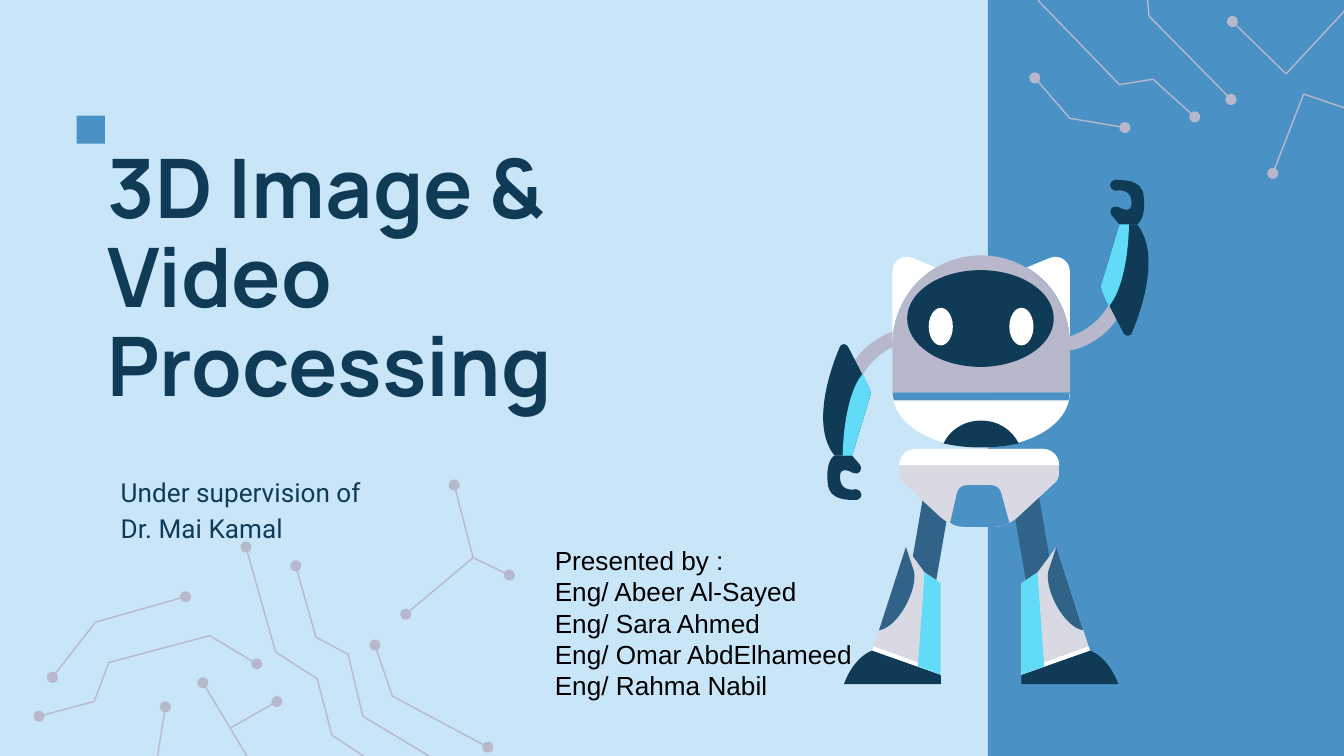
from dataclasses import dataclass

from lxml import etree
from pptx import Presentation
from pptx import util as u
from pptx.dml.color import RGBColor
from pptx.enum import shapes, text
from pptx.oxml.ns import qn

SKY = RGBColor(0xC9, 0xE6, 0xF8)
BLUE = RGBColor(0x4A, 0x91, 0xC6)
NAVY = RGBColor(0x10, 0x3B, 0x57)
STEEL = RGBColor(0x31, 0x63, 0x88)
CYAN = RGBColor(0x61, 0xDB, 0xF8)
GREY = RGBColor(0xB8, 0xB8, 0xCC)
PALE = RGBColor(0xD9, 0xD9, 0xE4)
WHITE = RGBColor(0xFF, 0xFF, 0xFF)
BLACK = RGBColor(0, 0, 0)

# Outlines: (x, y) is a straight step, six numbers are a Bezier curve.
ARM = [
    (GREY, [(21, 201), (20, 179, 23, 149, 44, 129), (57, 117, 71, 115, 72, 115),
            (73, 125), (71, 126, 28, 134, 32, 201)]),
    (NAVY, [(47, 159), (31, 128), (29, 125, 26, 126, 25, 128),
            (18, 144, 3, 187, 21, 209), (34, 209), (48, 163)]),
    (NAVY, [(40, 216), (34, 209), (21, 209), (21, 209, 14, 212, 16, 230),
            (17, 243, 32, 242, 38, 242), (40, 241, 41, 240, 41, 238),
            (41, 236, 39, 234, 37, 234), (32, 235, 25, 234, 25, 225),
            (25, 217, 31, 220, 35, 222), (37, 223, 39, 222, 40, 221),
            (41, 219, 41, 217, 40, 216)]),
    (CYAN, [(48, 163), (47, 159), (42, 148), (27, 166, 27, 209, 27, 209), (34, 209)]),
]
EAR = [(WHITE, [(96, 69), (91, 72, 87, 75, 83, 79), (71, 91, 64, 108, 64, 126),
                (64, 72), (64, 64, 72, 59, 79, 62)])]
HEAD = [
    (GREY, [(196, 162), (196, 126), (196, 90, 167, 60, 130, 60),
            (93, 60, 64, 90, 64, 126), (64, 162)]),
    (WHITE, [(196, 162), (196, 185, 167, 203, 130, 203), (93, 203, 64, 185, 64, 162)]),
    (BLUE, [(195, 168), (196, 162), (64, 162), (65, 168)]),
    (NAVY, [(102, 200), (111, 202, 120, 203, 130, 203), (140, 203, 149, 202, 158, 200),
            (153, 190, 143, 183, 130, 183), (117, 183, 107, 190, 102, 200)]),
]
LEG = [
    (STEEL, [(94, 317), (74, 314), (87, 239), (107, 242)]),
    (NAVY, [(100, 372), (49, 354), (34, 360, 28, 379, 28, 379), (100, 379)]),
    (PALE, [(49, 354), (74, 277), (88, 296), (100, 304), (100, 372)]),
    (WHITE, [(49, 354), (100, 372), (100, 369), (50, 351)]),
    (STEEL, [(80, 295), (74, 277), (54, 339), (68, 337, 83, 309, 80, 295)]),
    (CYAN, [(100, 372), (100, 304), (88, 296), (83, 366)]),
]
PELVIS = [
    (PALE, [(188, 216), (188, 221), (188, 225, 187, 228, 184, 230), (157, 255),
            (155, 257, 153, 258, 151, 259), (147, 261, 144, 262, 140, 262), (117, 262),
            (113, 262, 110, 261, 107, 259), (104, 258, 102, 257, 100, 255),
            (73, 230), (71, 228, 69, 225, 69, 221), (69, 216),
            (69, 209, 75, 204, 81, 204), (176, 204), (182, 204, 188, 209, 188, 216)]),
    (WHITE, [(188, 216), (188, 209, 182, 204, 176, 204), (81, 204),
             (75, 204, 69, 209, 69, 216)]),
    (BLUE, [(151, 259), (147, 261, 144, 262, 140, 262), (117, 262),
            (113, 262, 110, 261, 107, 259), (112, 237), (113, 233, 116, 231, 120, 231),
            (137, 231), (141, 231, 144, 233, 145, 237)]),
]

LOWER_TRACES = [
    [(338, 11), (352, 65), (379, 78)],
    [(279, 130), (292, 168), (363, 206)],
    [(220, 71), (235, 124), (259, 137), (270, 183), (375, 246)],
    [(183, 57), (205, 135), (236, 155), (247, 197), (345, 262)],
    [(39, 154), (71, 113), (138, 94)],
    [(29, 183), (70, 172), (81, 143), (156, 123), (191, 144)],
    [(123, 176), (112, 245), (44, 234)],
    [(151, 158), (196, 233)],
]
LOWER_BRANCHES = [[(352, 65), (302, 107)], [(171, 192), (206, 172)]]
UPPER_TRACES = [
    [(35, 58), (61, 88), (102, 95)],
    [(42, -36), (38, 1), (98, 63), (123, 59), (154, 87)],
    [(115, -40), (120, 12), (181, 74)],
    [(182, 16), (222, 55), (285, -13)],
    [(212, 129), (235, 70), (300, 92)],
]


@dataclass
class Box:
    """Area in inches, divided into columns and rows."""
    left: float
    top: float
    width: float
    height: float
    columns: int = 1
    rows: int = 1

    def at(self, x, y):
        return (u.Inches(self.left + self.width * x / self.columns),
                u.Inches(self.top + self.height * y / self.rows))

    def size(self, x, y):
        return u.Inches(self.width * x / self.columns), u.Inches(self.height * y / self.rows)


def paint(shape, color):
    shape.shadow.inherit = False
    shape.fill.solid()
    shape.fill.fore_color.rgb = color
    shape.line.fill.background()


def add_preset(page, box, kind, color, x=0, y=0, width=1, height=1):
    paint(page.shapes.add_shape(kind, *box.at(x, y), *box.size(width, height)), color)


def add_freeform(page, box, outline, close, move=lambda x, y: (x, y)):
    """Lay out every point as a line, then join each curve's three lines in one Bezier."""
    points = [step[i:i + 2] for step in outline for i in range(0, len(step), 2)]
    spots = [box.at(*move(*point)) for point in points]
    builder = page.shapes.build_freeform(*spots[0], scale=1.0)
    builder.add_line_segments(spots[1:], close=close)
    shape = builder.convert_to_shape()
    lines = iter(list(shape._element.iter(qn("a:lnTo"))))
    for step in outline[1:]:
        segment = next(lines)
        if len(step) == 6:
            segment.tag = qn("a:cubicBezTo")
            for extra in (next(lines), next(lines)):
                segment.append(extra[0])
                extra.getparent().remove(extra)
    return shape


def add_parts(page, box, parts, move=lambda x, y: (x, y)):
    for color, outline in parts:
        paint(add_freeform(page, box, outline, True, move), color)


def draw_robot(page, box):
    def mirror(x, y):
        return 260 - x, y

    def half_turn(x, y):
        return 267 - x, 246 - y

    oval = shapes.MSO_SHAPE.OVAL
    add_parts(page, box, ARM)
    add_parts(page, box, ARM, half_turn)
    add_parts(page, box, EAR)
    add_parts(page, box, EAR, mirror)
    add_parts(page, box, HEAD)
    add_preset(page, box, oval, NAVY, 75, 71, 109, 72)
    for x in (91, 151):
        add_preset(page, box, oval, WHITE, x, 99, 18, 28)
    add_parts(page, box, LEG)
    add_parts(page, box, LEG, mirror)
    add_parts(page, box, PELVIS)


def draw_circuit(page, box, traces, ends=("headEnd", "tailEnd")):
    """Draw thin traces with a dot at each of the named ends."""
    for points in traces:
        if len(points) == 2:
            start, end = (box.at(*point) for point in points)
            trace = page.shapes.add_connector(shapes.MSO_CONNECTOR.STRAIGHT, *start, *end)
            etree.SubElement(trace._element.spPr, qn("a:effectLst"))
        else:
            trace = add_freeform(page, box, points, False)
            trace.fill.background()
            trace.shadow.inherit = False
        trace.line.color.rgb = GREY
        trace.line.width = u.Pt(0.75)
        for end in ends:
            etree.SubElement(trace.line._get_or_add_ln(), qn("a:" + end), type="oval")


def write(page, box, lines, font, size, color, spacing=1.0, bold=False,
          anchor=text.MSO_ANCHOR.TOP, inset=0.1):
    frame = page.shapes.add_textbox(*box.at(0, 0), *box.size(1, 1)).text_frame
    frame.word_wrap = True
    frame.vertical_anchor = anchor
    frame.margin_left = frame.margin_right = u.Inches(0.1)
    frame.margin_top = frame.margin_bottom = u.Inches(inset)
    frame.text = "\n".join(lines)
    for para in frame.paragraphs:
        para.line_spacing = spacing
        para.font.name, para.font.size = font, u.Pt(size)
        para.font.bold, para.font.color.rgb = bold, color


def draw_cover(page):
    page.background.fill.solid()
    page.background.fill.fore_color.rgb = SKY
    square = shapes.MSO_SHAPE.RECTANGLE
    add_preset(page, Box(7.35, 0, 2.65, 5.63), square, BLUE)
    add_preset(page, Box(0.57, 0.86, 0.21, 0.21), square, BLUE)
    lower = Box(0, 3.5, 4, 2, 400, 200)
    draw_circuit(page, lower, LOWER_TRACES)
    draw_circuit(page, lower, LOWER_BRANCHES, ["tailEnd"])
    draw_circuit(page, Box(7.35, 0, 2.6, 1.4, 260, 140), UPPER_TRACES)
    write(page, Box(0.7, 1, 5.12, 2.18), ["3D Image & Video Processing"], "Manrope", 44,
          NAVY, 0.9, True, text.MSO_ANCHOR.BOTTOM)
    write(page, Box(0.8, 3.41, 5.12, 0.7), ["Under supervision of", "Dr. Mai Kamal"],
          "Roboto", 14, NAVY, 1.15)
    draw_robot(page, Box(6, 1.3, 2.7, 3.8, 270, 380))
    write(page, Box(4.03, 4, 2.54, 1.28),
          ["Presented by :", "Eng/ Abeer Al-Sayed", "Eng/ Sara Ahmed",
           "Eng/ Omar AbdElhameed", "Eng/ Rahma Nabil"], "Arial", 14, BLACK, inset=0.05)


def main():
    deck = Presentation()
    deck.slide_width = u.Inches(10)
    deck.slide_height = deck.slide_width * 9 // 16
    draw_cover(deck.slides.add_slide(deck.slide_layouts[6]))
    deck.save("out.pptx")


if __name__ == "__main__":
    main()
